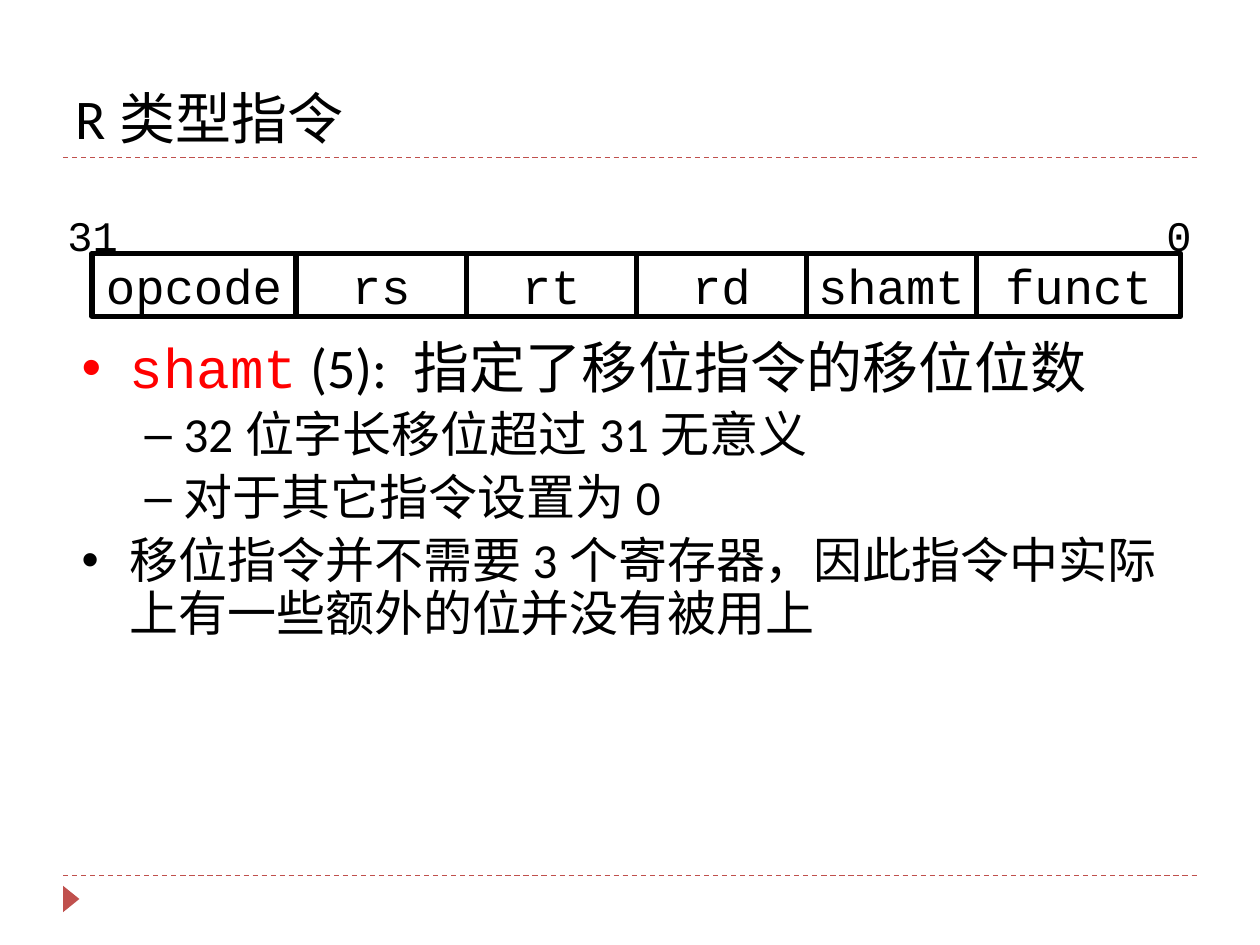
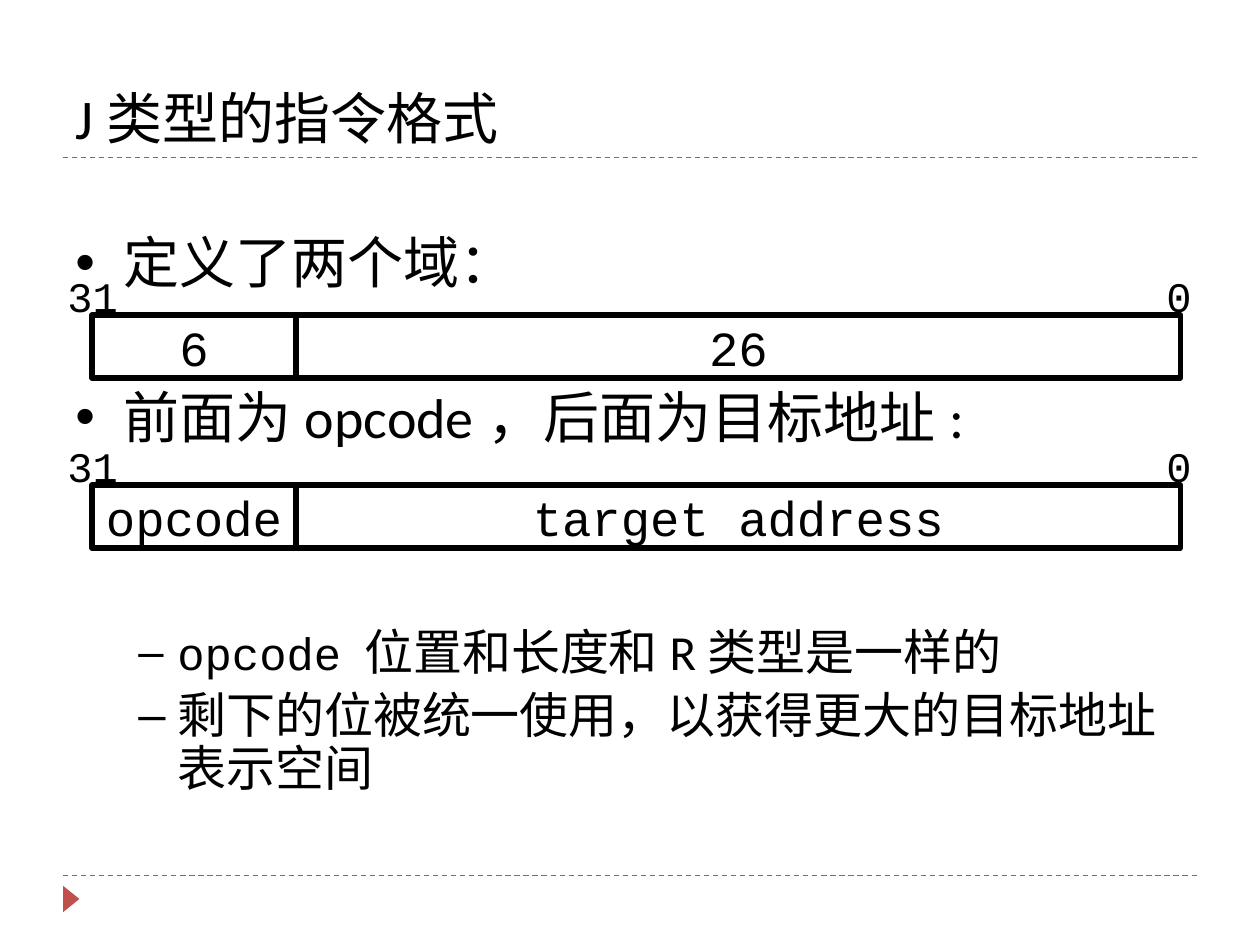
from dataclasses import dataclass

import lxml.etree
import pptx
import pptx.dml.color
import pptx.enum.dml
import pptx.enum.shapes
import pptx.enum.text
import pptx.oxml.ns
import pptx.util
from pptx.util import Inches

BLACK = "000000"
RED = "FF0000"
ACCENT = "C0504D"
SANS = "Calibri"
MONO = "Courier New"
ALIGN = pptx.enum.text.PP_ALIGN
ANCHOR = pptx.enum.text.MSO_ANCHOR
SHAPE = pptx.enum.shapes.MSO_SHAPE

WORD_LEFT = 0.73
BIT_WIDTH = 0.27
FIELD_HEIGHT = 0.5
INDENTS = {0: (0.38, -0.38, "•"), 1: (0.81, -0.31, "–")}


@dataclass(frozen=True)
class Field:
    name: str
    bits: int
    inset: float = 0.1


@dataclass(frozen=True)
class Span:
    text: str
    size: float = 28
    font: str = SANS
    color: str = BLACK


@dataclass(frozen=True)
class Point:
    spans: tuple[Span, ...]
    level: int = 0
    before: float = 5.6


def rgb(value: str) -> pptx.dml.color.RGBColor:
    return pptx.dml.color.RGBColor.from_string(value)


def write(paragraph, text: str, *, size: float = 28, font: str = SANS,
          color: str = BLACK, align=ALIGN.LEFT) -> None:
    paragraph.alignment = align
    run = paragraph.add_run()
    run.text = text
    run.font.size = pptx.util.Pt(size)
    run.font.name = font
    run.font.color.rgb = rgb(color)


def set_frame(frame, anchor=ANCHOR.TOP, inset: float = 0.1) -> None:
    frame.word_wrap = True
    frame.auto_size = pptx.enum.text.MSO_AUTO_SIZE.NONE
    frame.vertical_anchor = anchor
    frame.margin_left = frame.margin_right = Inches(inset)
    frame.margin_top = frame.margin_bottom = Inches(0.05)


def add_bullet(paragraph, level: int, color: str) -> None:
    margin, indent, mark = INDENTS[level]
    properties = paragraph._p.get_or_add_pPr()
    properties.set("marL", str(Inches(margin)))
    properties.set("indent", str(Inches(indent)))
    qn = pptx.oxml.ns.qn
    bullet_color = lxml.etree.SubElement(properties, qn("a:buClr"))
    lxml.etree.SubElement(bullet_color, qn("a:srgbClr"), val=color)
    lxml.etree.SubElement(properties, qn("a:buFont"), typeface="Arial")
    lxml.etree.SubElement(properties, qn("a:buChar"), char=mark)


def add_points(slide, left: float, top: float, height: float, points: list[Point]) -> None:
    frame = slide.shapes.add_textbox(
        Inches(left), Inches(top), Inches(9), Inches(height)).text_frame
    set_frame(frame)
    for index, point in enumerate(points):
        paragraph = frame.add_paragraph() if index else frame.paragraphs[0]
        paragraph.level = point.level
        add_bullet(paragraph, point.level, point.spans[0].color)
        paragraph.line_spacing = 0.9
        paragraph.space_before = pptx.util.Pt(point.before)
        for span in point.spans:
            write(paragraph, span.text, size=span.size, font=span.font, color=span.color)


def add_rule(slide, y: float) -> None:
    rule = slide.shapes.add_connector(
        pptx.enum.shapes.MSO_CONNECTOR.STRAIGHT,
        Inches(0.5), Inches(y), Inches(9.5), Inches(y))
    rule.line.color.rgb = rgb(ACCENT)
    rule.line.width = pptx.util.Pt(0.75)
    rule.line.dash_style = pptx.enum.dml.MSO_LINE.DASH
    lxml.etree.SubElement(rule._element.spPr, pptx.oxml.ns.qn("a:effectLst"))


def add_page(deck, heading: str):
    slide = deck.slides.add_slide(deck.slide_layouts[5])
    for y in (6.95, 1.25):
        add_rule(slide, y)
    marker = slide.shapes.add_shape(
        SHAPE.ISOSCELES_TRIANGLE, Inches(0.46), Inches(7.07), Inches(0.21), Inches(0.13))
    marker.rotation = 90
    marker.shadow.inherit = False
    marker.fill.solid()
    marker.fill.fore_color.rgb = rgb(ACCENT)
    marker.line.fill.background()
    title = slide.shapes.title
    title.left, title.top = Inches(0.5), Inches(0.17)
    title.width, title.height = Inches(9), Inches(1.08)
    set_frame(title.text_frame, ANCHOR.BOTTOM)
    write(title.text_frame.paragraphs[0], heading, size=32)
    return slide


def add_bit_label(slide, text: str, left: float, top: float, width: float, align) -> None:
    frame = slide.shapes.add_textbox(
        Inches(left), Inches(top), Inches(width), Inches(0.5)).text_frame
    set_frame(frame)
    write(frame.paragraphs[0], text, size=24, font=MONO, align=align)


def add_word(slide, top: float, fields: list[Field]) -> None:
    left = WORD_LEFT
    for field in fields:
        width = field.bits * BIT_WIDTH
        cell = slide.shapes.add_shape(
            SHAPE.RECTANGLE, Inches(left), Inches(top), Inches(width), Inches(FIELD_HEIGHT))
        cell.shadow.inherit = False
        cell.fill.background()
        cell.line.color.rgb = rgb(BLACK)
        cell.line.width = pptx.util.Pt(3)
        set_frame(cell.text_frame, ANCHOR.MIDDLE, field.inset)
        write(cell.text_frame.paragraphs[0], field.name, font=MONO, align=ALIGN.CENTER)
        left += width
    add_bit_label(slide, "31", 0.43, top - 0.4, 0.61, ALIGN.CENTER)
    add_bit_label(slide, "0", 9.16, top - 0.4, 0.4, ALIGN.LEFT)


def build_r_type(deck) -> None:
    slide = add_page(deck, "R类型指令")
    add_points(slide, 0.55, 2.65, 3.61, [
        Point((Span("shamt", 32, MONO, RED),
               Span(" (5): 指定了移位指令的移位位数", 32)), before=0),
        Point((Span("32位字长移位超过31无意义"),), level=1),
        Point((Span("对于其它指令设置为0"),), level=1),
        Point((Span("移位指令并不需要3个寄存器，因此指令中实际上有一些额外的位并没有被用上"),)),
    ])
    add_word(slide, 2.01, [
        Field("opcode", 6), Field("rs", 5), Field("rt", 5),
        Field("rd", 5), Field("shamt", 5, inset=0), Field("funct", 6),
    ])


def build_j_type(deck) -> None:
    slide = add_page(deck, "J类型的指令格式")
    add_points(slide, 0.5, 1.82, 5.4, [
        Point((Span("定义了两个域：", 32),), before=0),
        Point((Span("前面为opcode，后面为目标地址:", 32),), before=53.5),
        Point((Span("opcode", 26, MONO), Span(" 位置和长度和R类型是一样的")),
              level=1, before=102),
        Point((Span("剩下的位被统一使用，以获得更大的目标地址表示空间"),), level=1),
    ])
    add_word(slide, 2.5, [Field("6", 6), Field("26", 26)])
    add_word(slide, 3.85, [Field("opcode", 6), Field("target address", 26)])


def main() -> None:
    deck = pptx.Presentation()
    deck.slide_width, deck.slide_height = Inches(10), Inches(7.5)
    build_r_type(deck)
    build_j_type(deck)
    deck.save("out.pptx")


if __name__ == "__main__":
    main()
